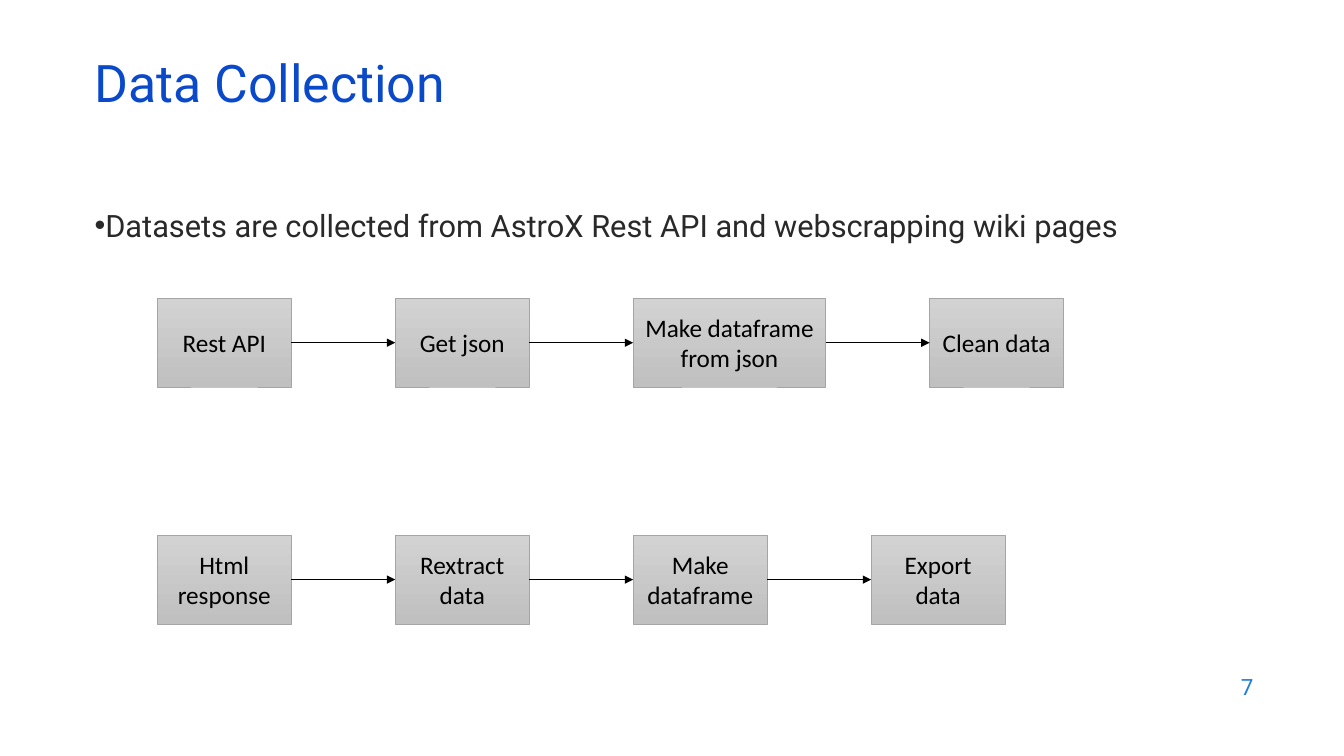
from lxml.etree import SubElement
from pptx import Presentation
from pptx.dml.color import RGBColor
from pptx.enum.shapes import MSO_CONNECTOR as Connector, MSO_SHAPE as Shape
from pptx.enum.text import MSO_ANCHOR as Anchor, PP_ALIGN as Align
from pptx.oxml.ns import qn
from pptx.util import Inches, Pt

TITLE_BLUE = RGBColor(0x0B, 0x49, 0xCB)
NUMBER_BLUE = RGBColor(0x1C, 0x7D, 0xDB)
BODY_GRAY = RGBColor(0x29, 0x29, 0x29)
BOX_LIGHT = RGBColor(0xD2, 0xD2, 0xD2)
BOX_DARK = RGBColor(0xC0, 0xC0, 0xC0)
BOX_BORDER = RGBColor(0xA5, 0xA5, 0xA5)
BLACK = RGBColor(0, 0, 0)

BOX_WIDTH, WIDE_BOX, BOX_HEIGHT = 1.33, 1.91, 0.88
FLOW_LEFT, GAP = 1.56, 1.03
FLOWS = [
    (2.96, [("Rest API", BOX_WIDTH), ("Get json", BOX_WIDTH),
            ("Make dataframe from json", WIDE_BOX), ("Clean data", BOX_WIDTH)]),
    (5.31, [("Html response", BOX_WIDTH), ("Rextract data", BOX_WIDTH),
            ("Make dataframe", BOX_WIDTH), ("Export data", BOX_WIDTH)]),
]


class SlideBuilder:
    """Draws text, process boxes and arrows on one slide in a shared style."""

    def __init__(self, slide):
        self.slide = slide
        self.text_font = "Roboto"
        self.box_font = "Calibri"
        self.line_width = Pt(0.5)

    def fill_text(self, shape, text, font, size, color, align, anchor):
        frame = shape.text_frame
        frame.word_wrap = True
        frame.vertical_anchor = anchor
        frame.text = text
        paragraph = frame.paragraphs[0]
        paragraph.alignment = align
        run_font = paragraph.runs[0].font
        run_font.name = font
        run_font.size = Pt(size)
        run_font.color.rgb = color
        return paragraph

    def text(self, text, left, top, width, height, size, color,
             align=Align.LEFT, anchor=Anchor.MIDDLE):
        shape = self.slide.shapes.add_textbox(
            Inches(left), Inches(top), Inches(width), Inches(height))
        return self.fill_text(shape, text, self.text_font, size, color, align, anchor)

    def bullet(self, text, left, top, width, height, size, color):
        paragraph = self.text(text, left, top, width, height, size, color,
                              anchor=Anchor.TOP)
        properties = paragraph._p.get_or_add_pPr()
        properties.set("marL", "0")
        properties.set("indent", "0")
        SubElement(properties, qn("a:buFont"), typeface="Arial")
        SubElement(properties, qn("a:buChar"), char="•")

    def box(self, text, left, top, width):
        shape = self.slide.shapes.add_shape(
            Shape.RECTANGLE, Inches(left), Inches(top), Inches(width), Inches(BOX_HEIGHT))
        shape.shadow.inherit = False
        shape.fill.gradient()
        shape.fill.gradient_angle = 270
        for stop, color in zip(shape.fill.gradient_stops, (BOX_LIGHT, BOX_DARK)):
            stop.color.rgb = color
        shape.line.color.rgb = BOX_BORDER
        shape.line.width = self.line_width
        self.fill_text(shape, text, self.box_font, 18, BLACK, Align.CENTER, Anchor.MIDDLE)
        return shape

    def arrow(self, start, end):
        connector = self.slide.shapes.add_connector(Connector.STRAIGHT, 0, 0, 0, 0)
        connector.begin_connect(start, 3)
        connector.end_connect(end, 1)
        connector.line.color.rgb = BLACK
        connector.line.width = self.line_width
        SubElement(connector.line._get_or_add_ln(), qn("a:tailEnd"), type="triangle")
        SubElement(connector._element.spPr, qn("a:effectLst"))

    def flow(self, top, steps):
        left, previous = FLOW_LEFT, None
        for text, width in steps:
            box = self.box(text, left, top, width)
            if previous is not None:
                self.arrow(previous, box)
            left += width + GAP
            previous = box


def main():
    presentation = Presentation()
    presentation.slide_width = Inches(13.33)
    presentation.slide_height = Inches(7.5)
    builder = SlideBuilder(presentation.slides.add_slide(presentation.slide_layouts[6]))
    title = builder.text("Data Collection", 0.84, 0.59, 11.5, 0.6, 37, TITLE_BLUE)
    title.line_spacing = 0.7
    builder.bullet("Datasets are collected from AstroX Rest API and webscrapping wiki pages",
                   0.84, 2, 11.5, 0.5, 22, BODY_GRAY)
    for top, steps in FLOWS:
        builder.flow(top, steps)
    builder.text("7", 9.53, 6.59, 3, 0.44, 16, NUMBER_BLUE, Align.RIGHT)
    presentation.save("out.pptx")


if __name__ == "__main__":
    main()
